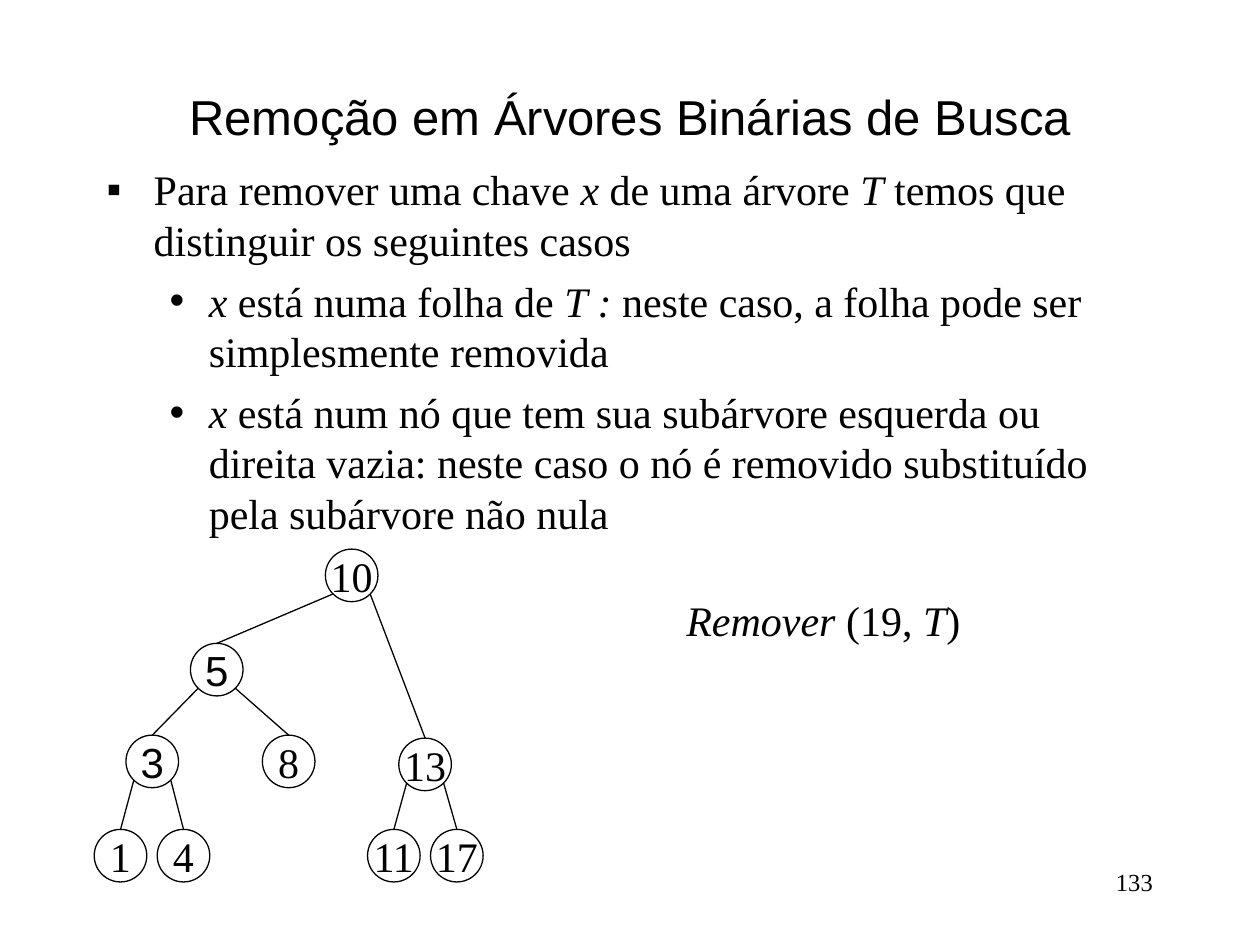
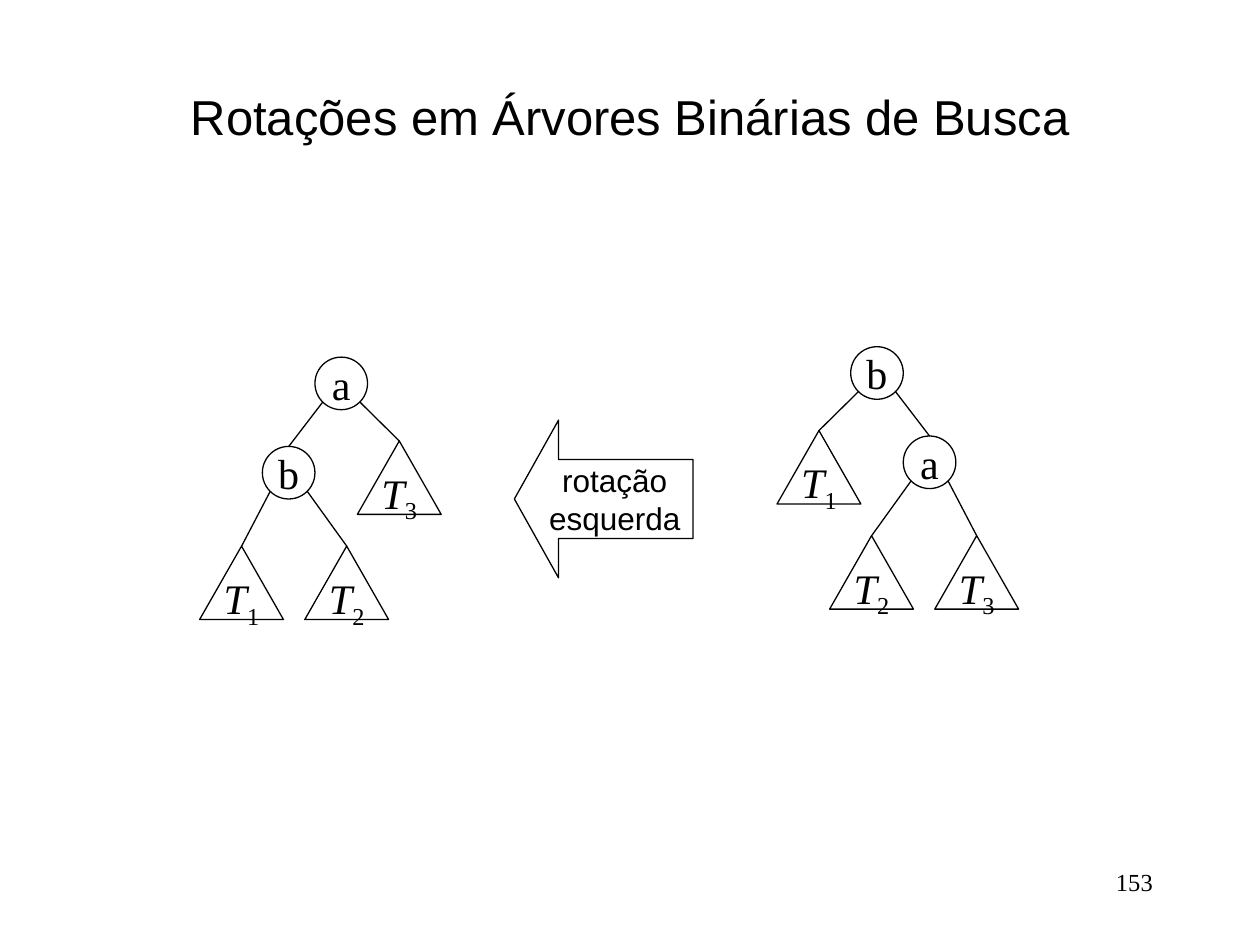
"""Builds two slides on removal and rotation in binary search trees."""
from dataclasses import dataclass
from typing import NamedTuple, Optional

from lxml import etree
from pptx import Presentation, util as u
from pptx.dml import color
from pptx.enum import shapes, text
from pptx.oxml import ns


@dataclass(frozen=True)
class Theme:
    ink: color.RGBColor = color.RGBColor(0, 0, 0)
    sans: str = "Arial"
    serif: str = "Times New Roman"
    title_size: int = 28
    text_size: int = 24
    arrow_size: int = 18
    number_size: int = 14
    line_width: float = 0.75
    line_spacing: float = 1.0
    space_before: int = 6


class Span(NamedTuple):
    text: str
    italic: bool = False
    subscript: bool = False


class Bullet(NamedTuple):
    mark: str
    margin: float
    hanging: float


class Area(NamedTuple):
    left: float
    top: float
    width: float
    height: float


@dataclass(frozen=True)
class Node:
    label: str
    apex: float
    top: float
    parent: Optional[str] = None
    font: str = "Times New Roman"
    subtree: bool = False


THEME = Theme()
ALIGN = text.PP_ALIGN
ANCHOR = text.MSO_ANCHOR
SHAPE = shapes.MSO_SHAPE

TITLE_AREA = Area(1.9, 1.7, 21.6, 1.27)
BODY_AREA = Area(1.9, 3.18, 21.6, 7.8)
NUMBER_AREA = Area(18.2, 17.36, 5.29, 1.27)
CALL_AREA = Area(13.3, 11.86, 6.6, 1.27)
ARROW_AREA = Area(10.37, 8.47, 3.6, 3.18)
NODE_SIZE = 1.06
SUBTREE_WIDTH, SUBTREE_HEIGHT = 1.69, 1.48
CORNER = 0.35

CASE = Bullet("▪", 0.95, 0.95)
SUBCASE = Bullet("•", 2.06, 0.79)

CASES = [
    (CASE, [Span("Para remover uma chave "), Span("x ", True), Span("de uma árvore "),
            Span("T", True), Span(" temos que distinguir os seguintes casos")]),
    (SUBCASE, [Span("x", True), Span(" está numa folha de "), Span("T : ", True),
               Span("neste caso, a folha pode ser simplesmente removida")]),
    (SUBCASE, [Span("x", True),
               Span(" está num nó que tem sua subárvore esquerda ou direita vazia: "
                    "neste caso o nó é removido substituído pela subárvore não nula")]),
]

SEARCH_TREE = [
    Node("10", 7.09, 11.07),
    Node("5", 4.37, 12.97, "10", THEME.sans),
    Node("13", 8.57, 14.88, "10"),
    Node("3", 3.07, 14.82, "5", THEME.sans),
    Node("8", 5.82, 14.82, "5"),
    Node("1", 2.43, 16.72, "3"),
    Node("4", 3.7, 16.72, "3"),
    Node("11", 7.94, 16.72, "13"),
    Node("17", 9.21, 16.72, "13"),
]


def lengths(area: Area) -> list:
    """Turn an area in centimetres into slide lengths."""
    return [u.Cm(value) for value in area]


def write(para, spans: list, size: int, font: str, align=ALIGN.LEFT) -> None:
    """Fill a paragraph run by run."""
    para.alignment = align
    para.line_spacing = THEME.line_spacing
    for part in spans:
        if part.text == "\n":
            para.add_line_break()
            continue
        span = para.add_run()
        span.text = part.text
        span.font.name, span.font.size = font, u.Pt(size)
        span.font.italic = part.italic
        span.font.color.rgb = THEME.ink
        if part.subscript:
            span.font._element.set("baseline", "-25000")


def add_bullet(para, bullet: Bullet) -> None:
    """Give a paragraph its hanging bullet."""
    props = para._p.get_or_add_pPr()
    props.set("marL", str(u.Cm(bullet.margin)))
    props.set("indent", str(-u.Cm(bullet.hanging)))
    etree.SubElement(props, ns.qn("a:buFont")).set("typeface", THEME.sans)
    etree.SubElement(props, ns.qn("a:buChar")).set("char", bullet.mark)


def add_box(page, area: Area):
    """Add a text box and return its text frame."""
    frame = page.shapes.add_textbox(*lengths(area)).text_frame
    frame.word_wrap = True
    return frame


def add_outline(page, kind, area: Area, spans: list, size: int, font: str):
    """Add an unfilled shape with a centred label."""
    shape = page.shapes.add_shape(kind, *lengths(area))
    shape.shadow.inherit = False
    shape.fill.background()
    shape.line.color.rgb = THEME.ink
    shape.line.width = u.Pt(THEME.line_width)
    frame = shape.text_frame
    frame.word_wrap = False
    frame.vertical_anchor = ANCHOR.MIDDLE
    write(frame.paragraphs[0], spans, size, font, ALIGN.CENTER)
    return shape


def add_edge(page, parent: Node, child: Node) -> None:
    """Join the lower corner of a parent to the top of its child."""
    side = 1 if child.apex > parent.apex else -1
    edge = page.shapes.add_connector(
        shapes.MSO_CONNECTOR.STRAIGHT,
        u.Cm(parent.apex + side * CORNER * NODE_SIZE),
        u.Cm(parent.top + (0.5 + CORNER) * NODE_SIZE),
        u.Cm(child.apex), u.Cm(child.top))
    edge.line.color.rgb = THEME.ink
    edge.line.width = u.Pt(THEME.line_width)
    etree.SubElement(edge._element.spPr, ns.qn("a:effectLst"))


def draw_tree(page, nodes: list) -> None:
    """Draw every node of a tree with the edge to its parent."""
    by_label = {node.label: node for node in nodes}
    for node in nodes:
        if node.subtree:
            kind, width, height = SHAPE.ISOSCELES_TRIANGLE, SUBTREE_WIDTH, SUBTREE_HEIGHT
            spans = [Span("T", True), Span(node.label[1:], subscript=True)]
        else:
            kind, width, height = SHAPE.OVAL, NODE_SIZE, NODE_SIZE
            spans = [Span(node.label)]
        area = Area(node.apex - width / 2, node.top, width, height)
        add_outline(page, kind, area, spans, THEME.text_size, node.font)
        if node.parent:
            add_edge(page, by_label[node.parent], node)


def rotation_tree(apex: float, top: float, side: int, labels: list) -> list:
    """Lay out a two-node tree whose inner child hangs to the given side."""
    root, inner, outer_subtree, far, near = labels
    return [
        Node(root, apex, top),
        Node(inner, apex + side * 1.06, top + 1.8, root),
        Node(outer_subtree, apex - side * 1.17, top + 1.69, root, subtree=True),
        Node(far, apex + side * 2.01, top + 3.81, inner, subtree=True),
        Node(near, apex - side * 0.11, top + 3.81, inner, subtree=True),
    ]


def add_page(deck, title: str, number: str):
    """Add a slide with its title and page number."""
    page = deck.slides.add_slide(deck.slide_layouts[5])
    heading = page.shapes.title
    heading.left, heading.top, heading.width, heading.height = lengths(TITLE_AREA)
    frame = heading.text_frame
    frame.auto_size = text.MSO_AUTO_SIZE.NONE
    frame.vertical_anchor = ANCHOR.MIDDLE
    write(frame.paragraphs[0], [Span(title)], THEME.title_size, THEME.sans, ALIGN.CENTER)
    write(add_box(page, NUMBER_AREA).paragraphs[0], [Span(number)],
          THEME.number_size, THEME.serif, ALIGN.RIGHT)
    return page


def build_removal(deck) -> None:
    """Build the slide on removing a key."""
    page = add_page(deck, "Remoção em Árvores Binárias de Busca", "133")
    frame = add_box(page, BODY_AREA)
    for index, (bullet, spans) in enumerate(CASES):
        para = frame.add_paragraph() if index else frame.paragraphs[0]
        add_bullet(para, bullet)
        if index:
            para.space_before = u.Pt(THEME.space_before)
        write(para, spans, THEME.text_size, THEME.serif)
    draw_tree(page, SEARCH_TREE)
    call = [Span("Remover", True), Span(" (19, "), Span("T", True), Span(")")]
    write(add_box(page, CALL_AREA).paragraphs[0], call,
          THEME.text_size, THEME.serif, ALIGN.CENTER)


def build_rotation(deck) -> None:
    """Build the slide on the left rotation."""
    page = add_page(deck, "Rotações em Árvores Binárias de Busca", "153")
    draw_tree(page, rotation_tree(6.88, 7.2, -1, ["a", "b", "T3", "T1", "T2"]))
    draw_tree(page, rotation_tree(17.68, 6.99, 1, ["b", "a", "T1", "T3", "T2"]))
    arrow = add_outline(page, SHAPE.LEFT_ARROW, ARROW_AREA,
                        [Span("rotação"), Span("\n"), Span("esquerda")],
                        THEME.arrow_size, THEME.sans)
    arrow.adjustments[0], arrow.adjustments[1] = 0.5, 0.28


def main() -> None:
    """Build and save the deck."""
    deck = Presentation()
    deck.slide_width, deck.slide_height = u.Cm(25.4), u.Cm(19.05)
    build_removal(deck)
    build_rotation(deck)
    deck.save("out.pptx")


if __name__ == "__main__":
    main()
